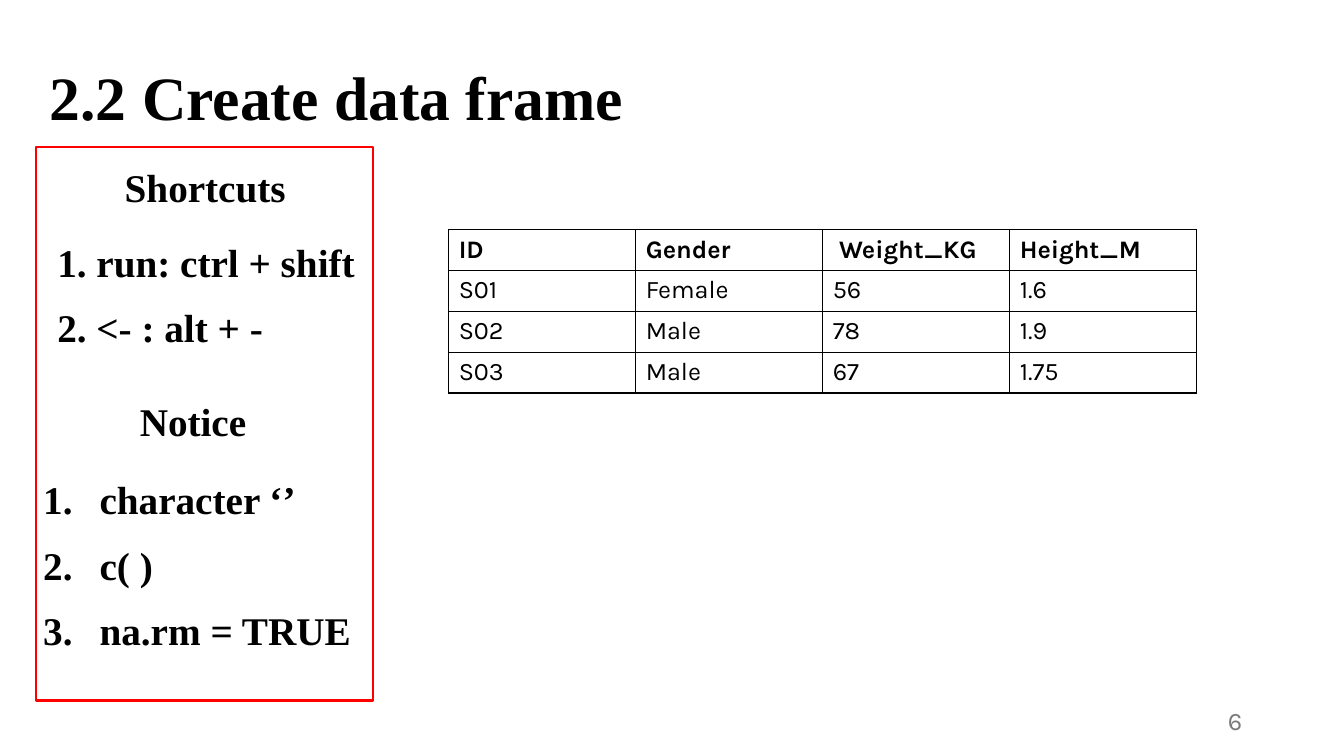
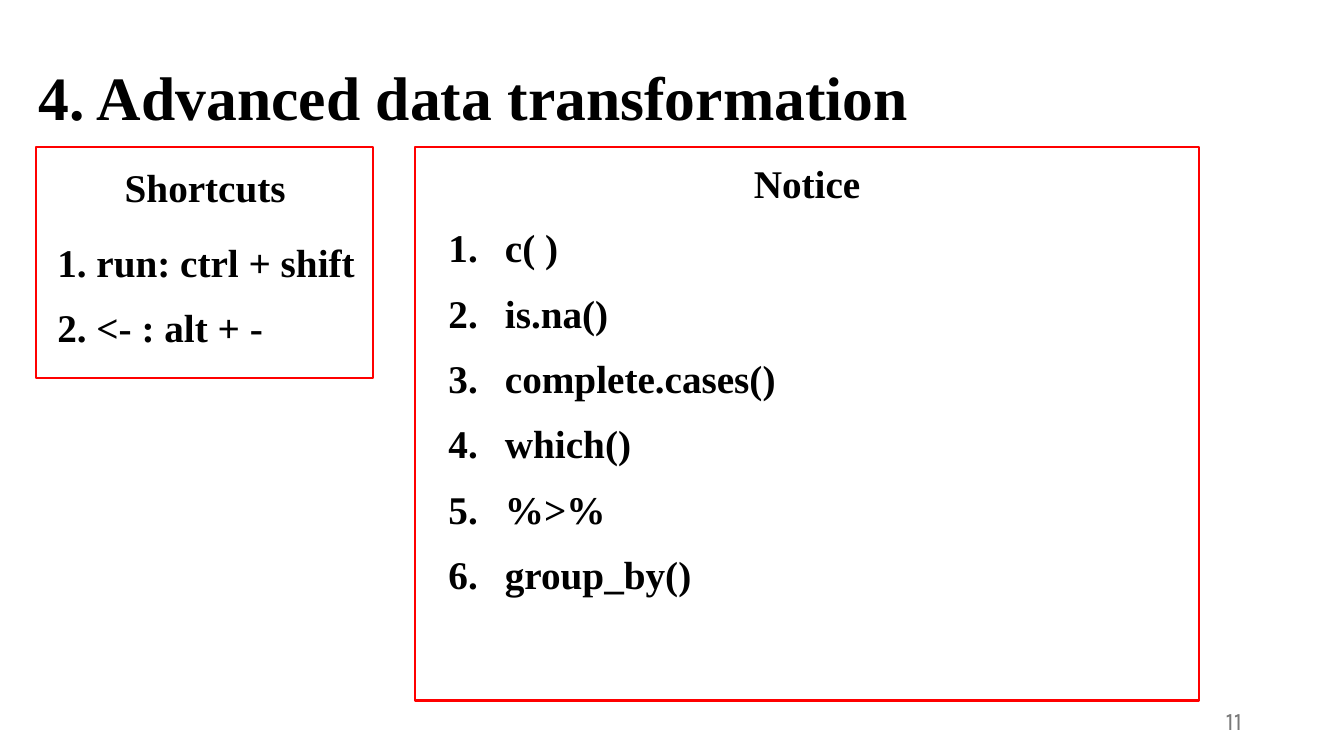
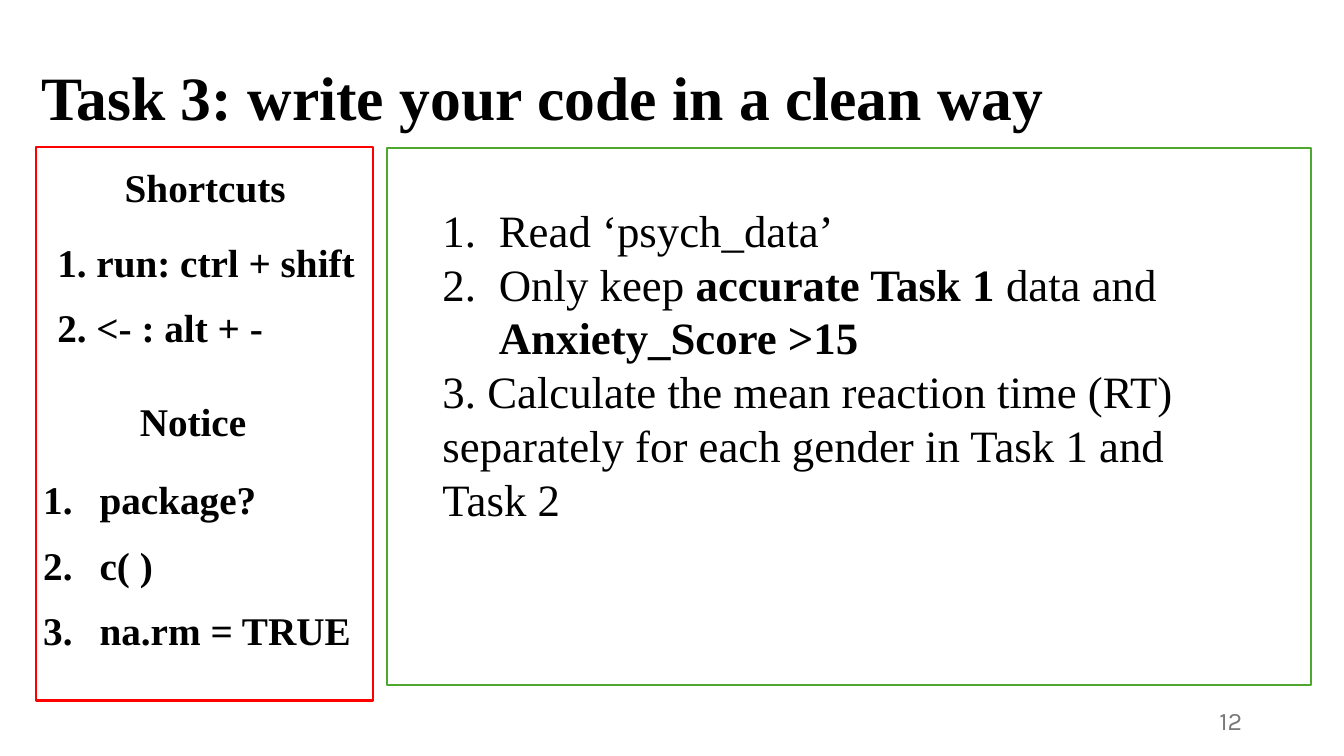
from lxml import etree
from pptx import Presentation
from pptx.dml.color import RGBColor
from pptx.enum.shapes import MSO_SHAPE
from pptx.enum.text import MSO_ANCHOR, PP_ALIGN
from pptx.oxml.ns import qn
from pptx.util import Inches, Pt

RECT = MSO_SHAPE.RECTANGLE
MIDDLE = MSO_ANCHOR.MIDDLE
LEFT, CENTER, RIGHT = PP_ALIGN.LEFT, PP_ALIGN.CENTER, PP_ALIGN.RIGHT

BLACK = RGBColor(0x00, 0x00, 0x00)
WHITE = RGBColor(0xFF, 0xFF, 0xFF)
GRAY = RGBColor(0x79, 0x79, 0x79)
RED = RGBColor(0xFF, 0x00, 0x00)
GREEN = RGBColor(0x4E, 0xA7, 0x2E)

SERIF, SANS = "Times New Roman", "Karla"
TITLE = {"name": SERIF, "size": Pt(44), "bold": True}
NOTE = {"name": SERIF, "size": Pt(28), "bold": True}
BODY = {"name": SERIF, "size": Pt(32), "bold": False}
CELL = {"name": SANS, "size": Pt(18), "bold": False}
HEAD = {**CELL, "bold": True}
LOOSE = {"line_spacing": 1.15, "space_after": Pt(8)}
TIGHT = {"line_spacing": 1.0, "space_after": Pt(0)}

SIDE, WIDE, TOP, TALL = 0.36, 3.34, 1.46, 5.49
TEXT_W, LINE_H, STEP = 3.57, 0.6, 0.65
INDENT = 0.56


def apply(target, values):
    for key, value in values.items():
        setattr(target, key, value)


class Deck:
    def __init__(self):
        self.prs = Presentation()
        self.prs.slide_width = Inches(13.33)
        self.prs.slide_height = Inches(7.5)
        self.slide = None

    def page(self, title, width, number):
        self.slide = self.prs.slides.add_slide(self.prs.slide_layouts[6])
        self.text([title], (0.13, 0.43, width, 0.88), TITLE, CENTER)
        box = self.text([number], (9.42, 6.95, 3, 0.4), CELL, RIGHT, TIGHT, color=GRAY)
        box.text_frame.vertical_anchor = MIDDLE

    def style(self, run, font, color=BLACK):
        apply(run.font, font)
        run.font.color.rgb = color

    def text(self, lines, area, font, align=LEFT, space=LOOSE, count=0, color=BLACK):
        box = self.slide.shapes.add_textbox(*map(Inches, area))
        frame = box.text_frame
        frame.word_wrap = True
        for i, line in enumerate(lines):
            para = frame.paragraphs[0] if i == 0 else frame.add_paragraph()
            apply(para, {"alignment": align, **space})
            for j, part in enumerate(line.split("*")):
                if part:
                    run = para.add_run()
                    run.text = part
                    self.style(run, {**font, "bold": font["bold"] or j % 2 == 1}, color)
            if i < count:
                self.order(para)
        return box

    def order(self, para):
        props = para._p.get_or_add_pPr()
        props.set("marL", str(Inches(INDENT)))
        props.set("indent", str(-Inches(INDENT)))
        etree.SubElement(props, qn("a:buAutoNum"), type="arabicPeriod")

    def panel(self, area, color):
        box = self.slide.shapes.add_shape(RECT, *map(Inches, area))
        box.shadow.inherit = False
        box.fill.solid()
        box.fill.fore_color.rgb = WHITE
        box.line.color.rgb = color
        box.line.width = Pt(1.5)

    def label(self, word, left, top):
        self.text([word], (left, top, TEXT_W, LINE_H), NOTE, CENTER)

    def items(self, lines, left, top, count=0):
        height = LINE_H + STEP * (len(lines) - 1)
        self.text(lines, (left, top, TEXT_W, height), NOTE, count=count)

    def keys(self, height):
        self.panel((SIDE, TOP, WIDE, height), RED)
        self.label("Shortcuts", 0.25, 1.5)
        self.items(["1. run: ctrl + shift", "2. <- : alt + -"], 0.47, 2.24)

    def sidebar(self, first):
        self.keys(TALL)
        self.label("Notice", 0.13, 3.82)
        self.items([first, "c( )", "na.rm = TRUE"], 0.33, 4.6, 3)

    def border(self, cell):
        props = cell._tc.get_or_add_tcPr()
        for side in ("lnL", "lnR", "lnT", "lnB"):
            line = etree.SubElement(props, qn("a:" + side), w=str(Pt(1)))
            fill = etree.SubElement(line, qn("a:solidFill"))
            etree.SubElement(fill, qn("a:srgbClr"), val=str(BLACK))

    def table(self, rows, area):
        size = len(rows), len(rows[0])
        grid = self.slide.shapes.add_table(*size, *map(Inches, area)).table
        apply(grid, {"first_row": False, "horz_banding": False})
        for i, row in enumerate(rows):
            for j, word in enumerate(row):
                cell = grid.cell(i, j)
                self.border(cell)
                cell.fill.background()
                run = cell.text_frame.paragraphs[0].add_run()
                run.text = word
                self.style(run, CELL if i else HEAD)


def main():
    deck = Deck()

    deck.page("2.2 Create data frame", 6.42, "6")
    deck.sidebar("character ‘’")
    deck.table([
        ["ID", "Gender", " Weight_KG", "Height_M"],
        ["S01", "Female", "56", "1.6"],
        ["S02", "Male", "78", "1.9"],
        ["S03", "Male", "67", "1.75"],
    ], (4.45, 2.28, 7.42, 1.62))

    deck.page("4. Advanced data transformation", 9.14, "11")
    deck.keys(2.29)
    deck.panel((4.12, TOP, 7.77, TALL), RED)
    deck.label("Notice", 6.22, TOP)
    calls = ["c( )", "is.na()", "complete.cases()", "which()", "%>%", "group_by()"]
    deck.items(calls, 4.35, 2.1, len(calls))

    deck.page("Task 3: write your code in a clean way", 10.51, "12")
    deck.panel((3.84, 1.47, 9.16, 5.33), GREEN)
    deck.text([
        "Read ‘psych_data’",
        "Only keep *accurate Task 1 *data and *Anxiety_Score >15",
        "3. Calculate the mean reaction time (RT) separately for each gender in Task 1 and Task 2",
    ], (4.29, 1.96, 8.04, 3.87), BODY, space=TIGHT, count=2)
    deck.sidebar("package?")

    deck.prs.save("out.pptx")


if __name__ == "__main__":
    main()
